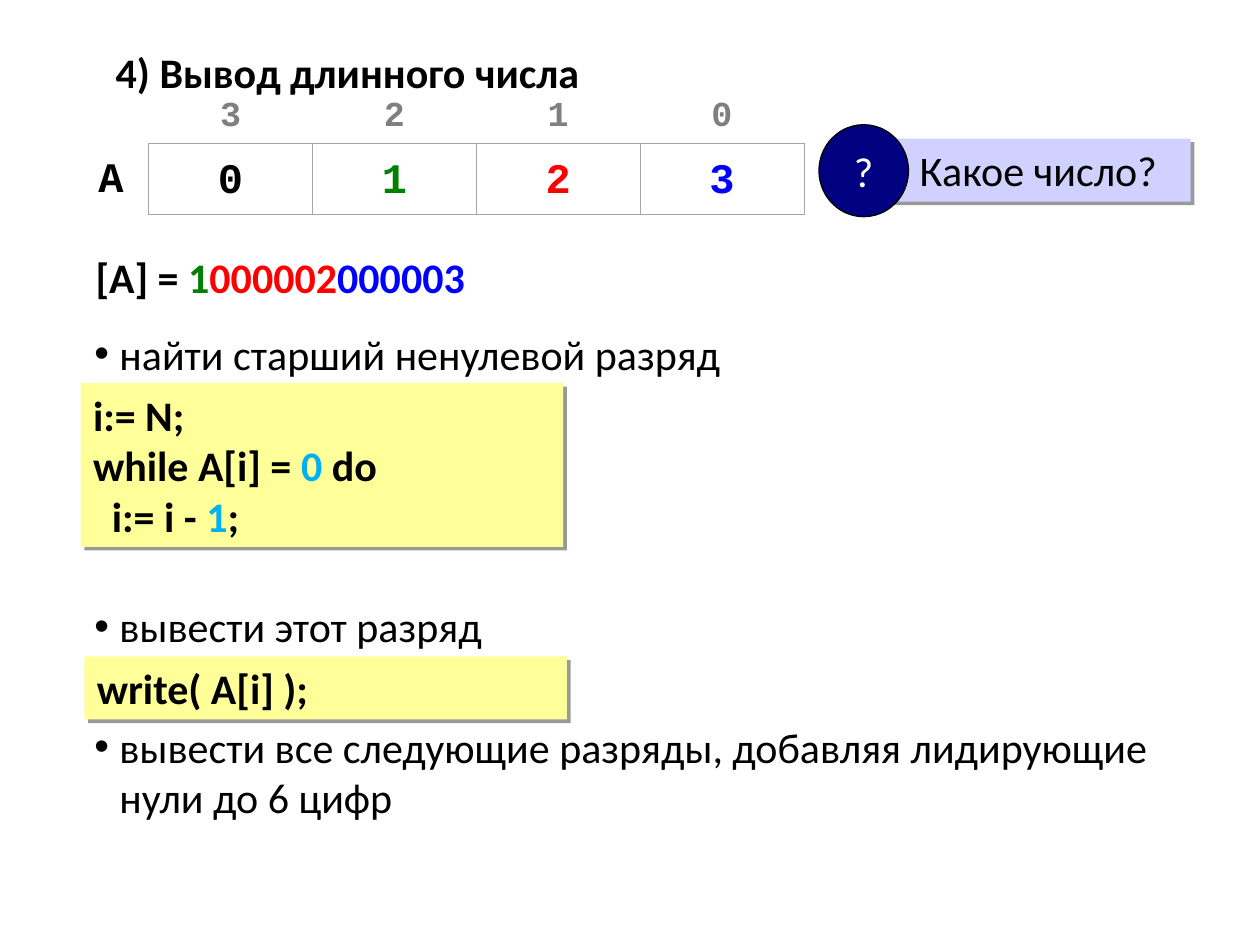
from dataclasses import dataclass

from lxml.etree import SubElement
from pptx import Presentation
from pptx.dml.color import RGBColor
from pptx.enum.shapes import MSO_SHAPE
from pptx.enum.text import MSO_ANCHOR, PP_ALIGN
from pptx.oxml.ns import qn
from pptx.util import Inches, Pt


@dataclass(frozen=True)
class Theme:
    font: str = "Calibri"
    mono: str = "Courier New"
    size: int = 24
    index_size: int = 20
    black: str = "000000"
    white: str = "FFFFFF"
    gray: str = "7F7F7F"
    border: str = "A6A6A6"
    green: str = "008000"
    red: str = "FF0000"
    blue: str = "0000FF"
    number: str = "00B0F0"
    code: str = "FFFF99"
    question: str = "D1D1FF"
    navy: str = "000080"


THEME = Theme()


def rgb(value):
    return RGBColor.from_string(value)


def add_runs(p, runs, bold=False, font=THEME.font, size=THEME.size):
    for text, color in runs:
        r = p.add_run()
        r.text = text
        r.font.name = font
        r.font.size = Pt(size)
        r.font.bold = bold
        r.font.color.rgb = rgb(color)


def set_frame(tf, anchor=MSO_ANCHOR.MIDDLE, wrap=True):
    tf.word_wrap = wrap
    tf.vertical_anchor = anchor
    return tf


def indent(p, left, first=0.0):
    pPr = p._p.get_or_add_pPr()
    pPr.set("marL", str(Inches(left)))
    pPr.set("indent", str(Inches(first)))
    return pPr


def add_text(s, box, anchor=MSO_ANCHOR.MIDDLE, wrap=True):
    sp = s.shapes.add_textbox(*map(Inches, box))
    return set_frame(sp.text_frame, anchor, wrap)


def add_shadow(sp):
    shadow = SubElement(sp._element.spPr.find(qn("a:effectLst")), qn("a:outerShdw"),
                        dist=str(Pt(3)), dir="2700000", algn="ctr", rotWithShape="0")
    color = SubElement(shadow, qn("a:srgbClr"), val=THEME.black)
    SubElement(color, qn("a:alpha"), val="40000")


def add_panel(shapes, box, fill):
    sp = shapes.add_shape(MSO_SHAPE.RECTANGLE, *map(Inches, box))
    sp.fill.solid()
    sp.fill.fore_color.rgb = rgb(fill)
    sp.line.fill.background()
    sp.shadow.inherit = False
    add_shadow(sp)
    return set_frame(sp.text_frame)


def add_code(s, box, lines):
    tf = add_panel(s.shapes, box, THEME.code)
    for i, (left, runs) in enumerate(lines):
        p = tf.add_paragraph() if i else tf.paragraphs[0]
        p.alignment = PP_ALIGN.LEFT
        indent(p, left)
        add_runs(p, runs, bold=True)


def add_question(s, mark, text):
    group = s.shapes.add_group_shape()
    p = add_panel(group.shapes, (7.05, 1.1, 2.4, 0.5), THEME.question).paragraphs[0]
    p.alignment = PP_ALIGN.LEFT
    indent(p, 0.15)
    add_runs(p, [(text, THEME.black)])
    sp = group.shapes.add_shape(MSO_SHAPE.OVAL, *map(Inches, (6.5, 0.99, 0.71, 0.73)))
    sp.fill.solid()
    sp.fill.fore_color.rgb = rgb(THEME.navy)
    sp.line.color.rgb = rgb(THEME.black)
    sp.line.width = Pt(0.75)
    sp.shadow.inherit = False
    p = set_frame(sp.text_frame, wrap=False).paragraphs[0]
    p.alignment = PP_ALIGN.CENTER
    add_runs(p, [(mark, THEME.white)])


def add_bullets(s, box, items):
    tf = add_text(s, box)
    for i, (before, text) in enumerate(items):
        p = tf.add_paragraph() if i else tf.paragraphs[0]
        p.space_before = Pt(before)
        pPr = indent(p, 0.2, -0.2)
        SubElement(pPr, qn("a:buFont"), typeface="Arial")
        SubElement(pPr, qn("a:buChar"), char="•")
        add_runs(p, [(text, THEME.black)])


def set_borders(cell, sides):
    tcPr = cell._tc.get_or_add_tcPr()
    for side in "LRTB":
        ln = SubElement(tcPr, qn(f"a:ln{side}"), w=str(Pt(0.45)))
        if side in sides:
            fill = SubElement(ln, qn("a:solidFill"))
            SubElement(fill, qn("a:srgbClr"), val=THEME.border)
        else:
            SubElement(ln, qn("a:noFill"))


def fill_cell(cell, text, color, size, spacing, anchor, sides):
    set_borders(cell, sides)
    cell.fill.background()
    cell.margin_left = cell.margin_right = Inches(0.08)
    cell.vertical_anchor = anchor
    p = cell.text_frame.paragraphs[0]
    p.alignment = PP_ALIGN.CENTER
    p.line_spacing = spacing
    if text:
        add_runs(p, [(text, color)], True, THEME.mono, size)


def add_array(s, name, digits):
    count = len(digits)
    widths = [0.6] + [1.3] * count
    table = s.shapes.add_table(2, count + 1, Inches(0.58), Inches(0.68),
                               Inches(sum(widths)), Inches(0.92)).table
    table.first_row = table.horz_banding = False
    for column, width in zip(table.columns, widths):
        column.width = Inches(width)
    indices = [""] + [str(i) for i in reversed(range(count))]
    values = [(name, THEME.black)] + digits
    for c, (index, (value, color)) in enumerate(zip(indices, values)):
        fill_cell(table.cell(0, c), index, THEME.gray, THEME.index_size, 1.0,
                  MSO_ANCHOR.BOTTOM, "B" if c else "")
        fill_cell(table.cell(1, c), value, color, THEME.size, 1.15,
                  MSO_ANCHOR.MIDDLE if c else MSO_ANCHOR.TOP, "LRTB" if c else "R")


def main():
    t = THEME
    prs = Presentation()
    prs.slide_width, prs.slide_height = Inches(10), Inches(7.5)
    s = prs.slides.add_slide(prs.slide_layouts[6])

    title = add_text(s, (0.82, 0.31, 8.28, 0.52))
    add_runs(title.paragraphs[0], [("4) Вывод длинного числа", t.black)], bold=True)
    add_array(s, "A", [("0", t.black), ("1", t.green), ("2", t.red), ("3", t.blue)])
    add_question(s, "?", "Какое число?")

    p = add_text(s, (0.66, 1.89, 3.13, 0.56), MSO_ANCHOR.TOP, wrap=False).paragraphs[0]
    p.alignment = PP_ALIGN.CENTER
    p.line_spacing = 1.15
    add_runs(p, [("[A] = ", t.black), ("1", t.green), ("000002", t.red),
                 ("000003", t.blue)], bold=True)

    add_bullets(s, (0.65, 2.53, 9.03, 4.07), [
        (0, "найти старший ненулевой разряд"),
        (127, "вывести этот разряд"),
        (40, "вывести все следующие разряды, добавляя лидирующие нули до 6 цифр"),
    ])
    add_code(s, (0.64, 3.04, 3.83, 1.3), [
        (0, [("i:= N;", t.black)]),
        (0, [("while A[i] = ", t.black), ("0", t.number), (" do", t.black)]),
        (0.15, [("i:= i - ", t.black), ("1", t.number), (";", t.black)]),
    ])
    add_code(s, (0.67, 5.21, 3.83, 0.5), [(0, [("write( A[i] );", t.black)])])
    prs.save("out.pptx")


if __name__ == "__main__":
    main()
